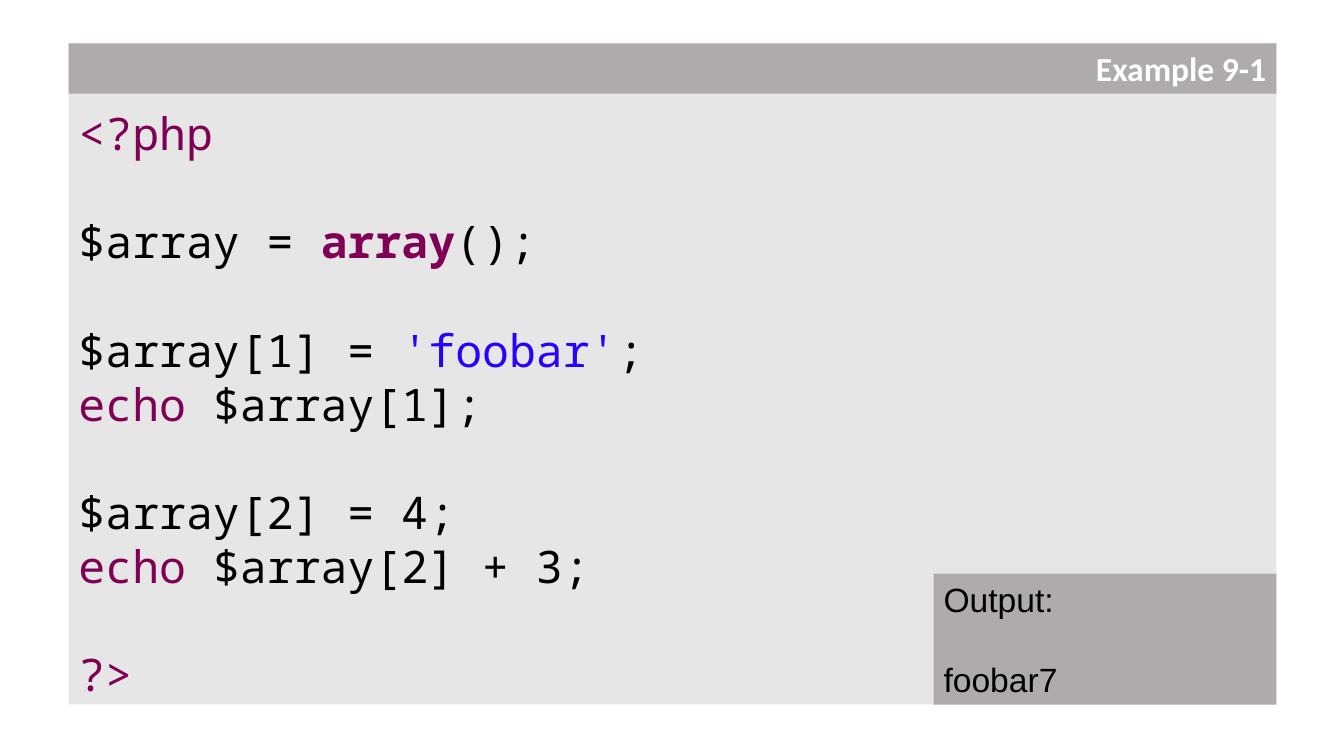
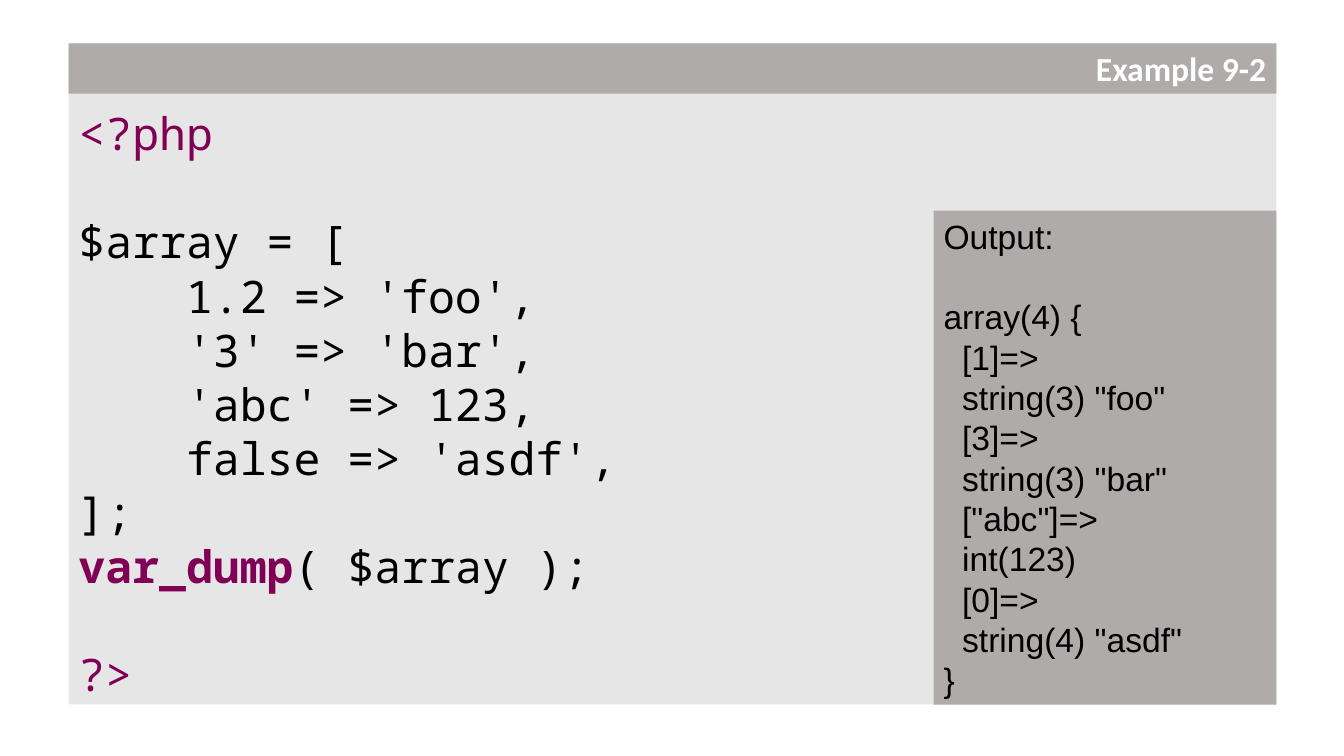
from pptx import Presentation
from pptx.dml.color import RGBColor
from pptx.enum.shapes import MSO_SHAPE
from pptx.enum.text import MSO_ANCHOR, PP_ALIGN
from pptx.util import Inches, Pt

RECTANGLE = MSO_SHAPE.RECTANGLE
TOP, MIDDLE = MSO_ANCHOR.TOP, MSO_ANCHOR.MIDDLE
LEFT, RIGHT = PP_ALIGN.LEFT, PP_ALIGN.RIGHT

PANEL, BAND = "E7E6E6", "AFABAB"
BLACK, WHITE, KEYWORD, STRING = "000000", "FFFFFF", "7F0055", "2A00FF"

SLIDE_WIDTH, SLIDE_HEIGHT = 13.33, 7.5
PANEL_LEFT, PANEL_TOP, PANEL_WIDTH, PANEL_HEIGHT = 0.68, 0.43, 11.98, 6.56
BAND_HEIGHT, OUTPUT_WIDTH = 0.5, 3.4
INSET_X, INSET_Y, CODE_INSET = 0.1, 0.05, 0.62
CODE_LINE, OUTPUT_LINE = 38.6, 28.8

PLAIN = {"color": BLACK, "bold": False}
WORD = {"color": KEYWORD, "bold": False}
CALL = {"color": KEYWORD, "bold": True}
QUOTED = {"color": STRING, "bold": False}

EXAMPLES = [
    {
        "title": "Example 9-1",
        "code": [
            [[("<?php", WORD)]],
            [[("$array = ", PLAIN), ("array", CALL), ("();", PLAIN)]],
            [
                [("$array[1] = ", PLAIN), ("'foobar'", QUOTED), (";", PLAIN)],
                [("echo ", WORD), ("$array[1];", PLAIN)],
            ],
            [
                [("$array[2] = 4;", PLAIN)],
                [("echo ", WORD), ("$array[2] + 3;", PLAIN)],
            ],
            [[("?>", WORD)]],
        ],
        "output": ["foobar7"],
    },
    {
        "title": "Example 9-2",
        "code": [
            [[("<?php", WORD)]],
            [
                [("$array = [", PLAIN)],
                [("    1.2 => 'foo',", PLAIN)],
                [("    '3' => 'bar',", PLAIN)],
                [("    'abc' => 123,", PLAIN)],
                [("    false => 'asdf',", PLAIN)],
                [("];", PLAIN)],
                [("var_dump", CALL), ("( $array );", PLAIN)],
            ],
            [[("?>", WORD)]],
        ],
        "output": [
            "array(4) {",
            "  [1]=>",
            '  string(3) "foo"',
            "  [3]=>",
            '  string(3) "bar"',
            '  ["abc"]=>',
            "  int(123)",
            "  [0]=>",
            '  string(4) "asdf"',
            "}",
        ],
    },
]


def rgb(color):
    return RGBColor.from_string(color)


def fill_box(shape, color):
    shape.fill.solid()
    shape.fill.fore_color.rgb = rgb(color)
    shape.line.fill.background()


def add_box(slide, left, top, width, height, color):
    shape = slide.shapes.add_shape(
        RECTANGLE, Inches(left), Inches(top), Inches(width), Inches(height)
    )
    shape.shadow.inherit = False
    fill_box(shape, color)
    return shape


def write(shape, blocks, font, size, line=None, align=LEFT, anchor=TOP, top=INSET_Y):
    frame = shape.text_frame
    frame.word_wrap = True
    frame.vertical_anchor = anchor
    frame.margin_left = frame.margin_right = Inches(INSET_X)
    frame.margin_top, frame.margin_bottom = Inches(top), Inches(INSET_Y)
    paragraph = None
    for block in blocks:
        for index, runs in enumerate(block):
            opens_later_block = paragraph is not None and index == 0
            paragraph = frame.paragraphs[0] if paragraph is None else frame.add_paragraph()
            paragraph.alignment = align
            paragraph.space_before = Pt(line if opens_later_block else 0)
            if line:
                paragraph.line_spacing = Pt(line)
            for text, style in runs:
                run = paragraph.add_run()
                run.text = text
                run.font.name, run.font.size = font, Pt(size)
                run.font.bold = style["bold"]
                run.font.color.rgb = rgb(style["color"])


def add_title(slide, text):
    title = slide.shapes.title
    title.left, title.top = Inches(PANEL_LEFT), Inches(PANEL_TOP)
    title.width, title.height = Inches(PANEL_WIDTH), Inches(BAND_HEIGHT)
    fill_box(title, BAND)
    style = {"color": WHITE, "bold": True}
    write(title, [[[(text, style)]]], "Calibri", 24, align=RIGHT, anchor=MIDDLE)
    title.element.getparent().append(title.element)


def add_output(slide, lines):
    height = (len(lines) + 2) * OUTPUT_LINE / 72 + 2 * INSET_Y
    left = PANEL_LEFT + PANEL_WIDTH - OUTPUT_WIDTH
    top = PANEL_TOP + PANEL_HEIGHT - height
    box = add_box(slide, left, top, OUTPUT_WIDTH, height, BAND)
    blocks = [[[("Output:", PLAIN)]], [[(line, PLAIN)] for line in lines]]
    write(box, blocks, "Arial", 24, line=OUTPUT_LINE)


def main():
    presentation = Presentation()
    presentation.slide_width = Inches(SLIDE_WIDTH)
    presentation.slide_height = Inches(SLIDE_HEIGHT)
    title_only = presentation.slide_layouts[5]
    for example in EXAMPLES:
        slide = presentation.slides.add_slide(title_only)
        panel = add_box(slide, PANEL_LEFT, PANEL_TOP, PANEL_WIDTH, PANEL_HEIGHT, PANEL)
        write(panel, example["code"], "Noto Sans Mono", 32, line=CODE_LINE, top=CODE_INSET)
        add_output(slide, example["output"])
        add_title(slide, example["title"])
    presentation.save("out.pptx")


if __name__ == "__main__":
    main()
